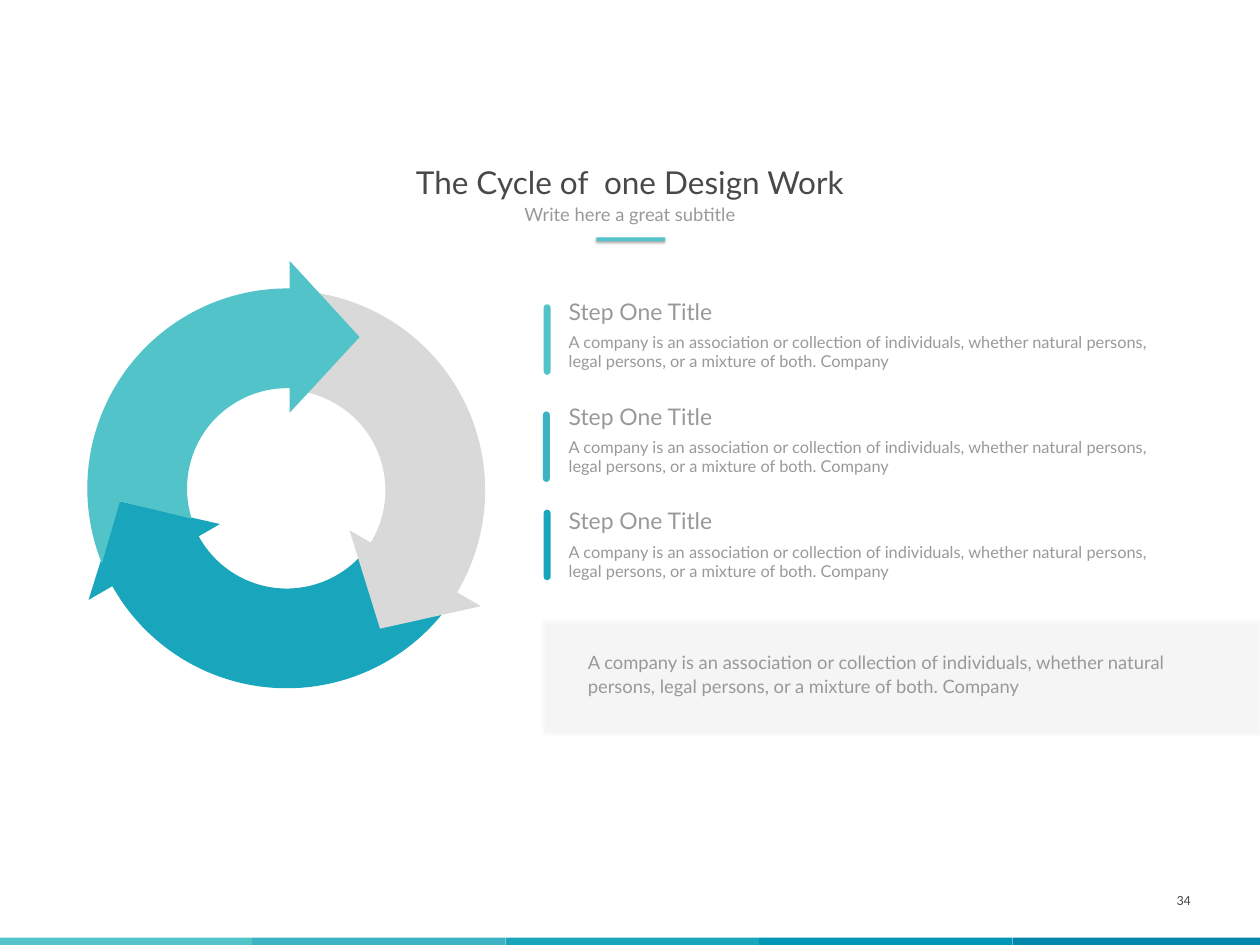
from dataclasses import dataclass
from math import cos, radians, sin, tan

from lxml import etree
from pptx import Presentation
from pptx.dml.color import RGBColor
from pptx.enum import shapes, text
from pptx.oxml import ns
from pptx.util import Cm, Pt


@dataclass(frozen=True)
class Theme:
    aqua: str = "51C3C9"
    teal: str = "3CB2C3"
    blue: str = "19A5BC"
    strip: tuple = ("51C3C9", "3CB2C3", "19A5BC", "0096B6", "0086AB")
    silver: str = "D9D9D9"
    panel: str = "F2F2F2"
    dark: str = "494949"
    grey: str = "999999"
    font: str = "Lato"
    number_font: str = "Calibri"
    title_size: float = 36
    heading_size: float = 26.2
    lead_size: float = 21
    body_size: float = 18.7
    number_size: float = 16


@dataclass(frozen=True)
class Step:
    bar_left: float
    bar_top: float
    color: str


@dataclass(frozen=True)
class CycleArrow:
    center_x: float
    center_y: float
    turn: float
    color: str


THEME = Theme()
STEP_TITLE = "Step One Title"
COMPANY_TEXT = ("A company is an association or collection of individuals, whether natural "
                "persons, legal persons, or a mixture of both. Company")
STEPS = (
    Step(21.92, 12.27, THEME.aqua),
    Step(21.89, 16.59, THEME.teal),
    Step(21.92, 20.55, THEME.blue),
)
STEP_LEFT, STEP_TOP, STEP_PITCH = 22.68, 11.86, 4.23

# Each arrow overlaps the tail of the one drawn before it
ARROWS = (
    CycleArrow(11.56, 19.69, -120, THEME.blue),
    CycleArrow(11.5, 19.77, 120, THEME.silver),
    CycleArrow(11.58, 19.69, 0, THEME.aqua),
)
OUTER_RADIUS, INNER_RADIUS = 8.06, 4.04
TIP, OUTER_BARB, INNER_BARB = (2.92, -6.1), (0.1, -9.17), (0.1, -3.05)


def paint(sp, color: str) -> None:
    sp.shadow.inherit = False
    sp.fill.solid()
    sp.fill.fore_color.rgb = RGBColor.from_string(color)
    sp.line.fill.background()


def add_block(slide, kind, left: float, top: float, width: float, height: float, color: str):
    sp = slide.shapes.add_shape(kind, Cm(left), Cm(top), Cm(width), Cm(height))
    paint(sp, color)
    return sp


def add_soft_shadow(sp) -> None:
    effects = sp._element.spPr.find(ns.qn("a:effectLst"))
    shadow = etree.SubElement(effects, ns.qn("a:outerShdw"), blurRad=str(Pt(3.1)),
                              dist=str(Pt(1.8)), dir="5400000", rotWithShape="0")
    black = etree.SubElement(shadow, ns.qn("a:srgbClr"), val="000000")
    etree.SubElement(black, ns.qn("a:alpha"), val="35000")


def set_opacity(sp, percent: int) -> None:
    color = sp._element.spPr.find(ns.qn("a:solidFill"))[0]
    etree.SubElement(color, ns.qn("a:alpha"), val=str(percent * 1000))


def write(slide, words: str, left: float, top: float, width: float, height: float, *,
          size: float, color: str = THEME.grey, font: str = THEME.font,
          align=text.PP_ALIGN.LEFT, anchor=text.MSO_ANCHOR.TOP, wrap: bool = True,
          spacing: float = 1.0, insets: tuple | None = None, sp=None) -> None:
    """Put formatted text into sp, or into a new text box if none is given."""
    sp = sp or slide.shapes.add_textbox(0, 0, 0, 0)
    sp.left, sp.top, sp.width, sp.height = Cm(left), Cm(top), Cm(width), Cm(height)
    tf = sp.text_frame
    tf.auto_size = text.MSO_AUTO_SIZE.NONE
    tf.word_wrap, tf.vertical_anchor = wrap, anchor
    if insets:
        tf.margin_left, tf.margin_top, tf.margin_right, tf.margin_bottom = map(Cm, insets)
    p = tf.paragraphs[0]
    p.alignment, p.line_spacing, p.space_before = align, spacing, Pt(0)
    r = p.add_run()
    r.text = words
    r.font.name, r.font.size = font, Pt(size)
    r.font.color.rgb = RGBColor.from_string(color)


def rotate(point: tuple, degrees: float) -> tuple:
    x, y = point
    c, s = cos(radians(degrees)), sin(radians(degrees))
    return x * c - y * s, x * s + y * c


def arc(radius: float, start: float, end: float) -> list:
    """Return a start point, then two Bézier curves of three points each."""
    half = (end - start) / 2
    pull = radius * 4 / 3 * tan(radians(half) / 4)
    curve = [(rotate((radius, pull), 0), 0), (rotate((radius, -pull), 0), half),
             ((radius, 0), half)]
    points = [rotate((radius, 0), start)]
    for first in (start, start + half):
        points += [rotate(point, first + turn) for point, turn in curve]
    return points


def bend(sp, first: int) -> None:
    """Turn six straight segments, from the given one on, into two curves."""
    path = next(sp._element.iter(ns.qn("a:path")))
    segments = list(path)[first:first + 6]
    for trio in (segments[:3], segments[3:]):
        curve = etree.Element(ns.qn("a:cubicBezTo"))
        trio[0].addprevious(curve)
        for segment in trio:
            curve.append(segment[0])
            path.remove(segment)


def add_cycle_arrow(slide, arrow: CycleArrow) -> None:
    """Draw a ring segment whose tail is notched around the tip of its neighbour."""
    outer = arc(OUTER_RADIUS, 270.71, 158)
    inner = arc(INNER_RADIUS, 162.4, 271.42)
    head = [TIP, OUTER_BARB]
    outline = [*head, *outer, rotate(TIP, -120), *inner, INNER_BARB]
    points = []
    for point in outline:
        x, y = rotate(point, arrow.turn)
        points.append((Cm(arrow.center_x + x), Cm(arrow.center_y + y)))
    builder = slide.shapes.build_freeform(*points[0])
    builder.add_line_segments(points[1:], close=True)
    sp = builder.convert_to_shape()
    bend(sp, len(head) + len(outer) + 2)
    bend(sp, len(head) + 1)
    paint(sp, arrow.color)


def add_step(slide, step: Step, top: float) -> None:
    bar = add_block(slide, shapes.MSO_SHAPE.ROUND_2_SAME_RECTANGLE,
                    step.bar_left, step.bar_top, 0.28, 2.84, step.color)
    bar.adjustments[0] = bar.adjustments[1] = 0.5
    write(slide, STEP_TITLE, STEP_LEFT, top, 6.32, 1.37, size=THEME.heading_size, wrap=False)
    write(slide, COMPANY_TEXT, STEP_LEFT, top + 1.4, 25.1, 1.85, size=THEME.body_size)


def main() -> None:
    prs = Presentation()
    prs.slide_width, prs.slide_height = Cm(50.8), Cm(38.1)
    slide = prs.slides.add_slide(prs.slide_layouts[5])
    rect = shapes.MSO_SHAPE.RECTANGLE

    for i, color in enumerate(THEME.strip):
        add_block(slide, rect, -0.05 + i * 10.22, 37.8, 10.21, 0.5, color)

    panel = add_block(slide, rect, 21.89, 24.99, 28.88, 4.52, THEME.panel)
    set_opacity(panel, 10)
    add_soft_shadow(panel)

    for arrow in ARROWS:
        add_cycle_arrow(slide, arrow)
    for i, step in enumerate(STEPS):
        add_step(slide, step, STEP_TOP + i * STEP_PITCH)

    write(slide, COMPANY_TEXT, 23.32, 25.43, 24.46, 3.4, size=THEME.lead_size,
          anchor=text.MSO_ANCHOR.MIDDLE, spacing=1.1, insets=(0.38, 0, 0, 0))
    write(slide, "The Cycle of  one Design Work", 16.46, 6.73, 17.86, 1.5,
          size=THEME.title_size, color=THEME.dark, align=text.PP_ALIGN.CENTER,
          wrap=False, spacing=0.8, sp=slide.shapes.title)
    title_rule = add_block(slide, rect, 24.05, 9.57, 2.77, 0.15, THEME.aqua)
    add_soft_shadow(title_rule)
    write(slide, "Write here a great subtitle", 20.85, 8.23, 9.09, 0.97,
          size=THEME.lead_size, align=text.PP_ALIGN.CENTER, wrap=False, spacing=0.8)
    write(slide, "34", 36.83, 35.28, 11.43, 2.03, size=THEME.number_size, color=THEME.dark,
          font=THEME.number_font, align=text.PP_ALIGN.RIGHT, anchor=text.MSO_ANCHOR.MIDDLE)

    prs.save("out.pptx")


if __name__ == "__main__":
    main()
